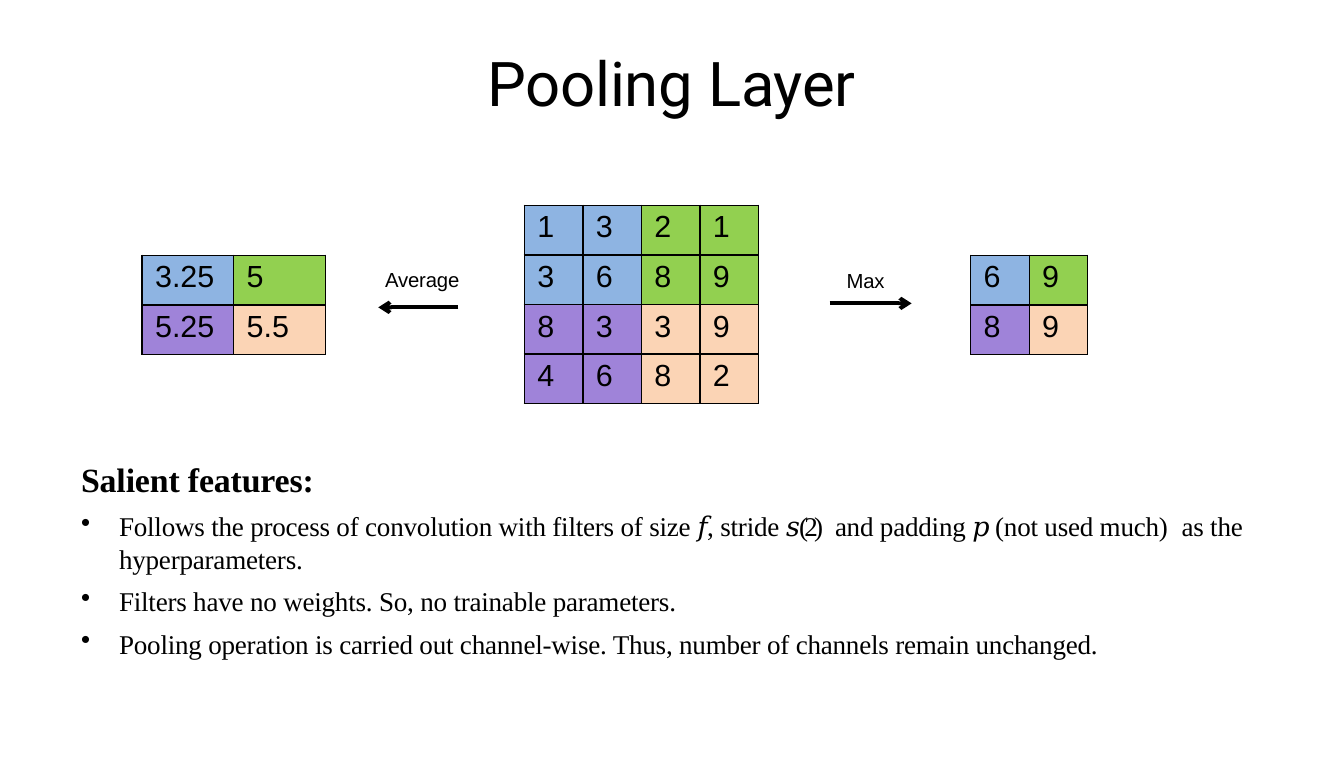
"""Build the pooling layer slide."""
from lxml import etree
from pptx import Presentation, util as u
from pptx.dml.color import RGBColor
from pptx.enum import shapes, text
from pptx.oxml import ns

BLACK = RGBColor(0, 0, 0)
BLUE = RGBColor(0x8E, 0xB4, 0xE2)
GREEN = RGBColor(0x92, 0xD0, 0x50)
PURPLE = RGBColor(0x9F, 0x83, 0xD9)
PEACH = RGBColor(0xFB, 0xD4, 0xB5)
QUADS = [[BLUE, GREEN], [PURPLE, PEACH]]
SERIF = "Times New Roman"
TIGHT = -0.1

TITLE = [("Pooling Layer", TIGHT)]
HEAD = [("Salient features:", TIGHT)]
POINTS = [
    [("Follows the process of convolution with filters of size ", TIGHT),
     ("𝑓, ", -0.2), ("stride ", TIGHT), ("𝑠 (2)", -2.2), (" ", 3),
     ("and padding ", TIGHT), ("𝑝 ", -0.8), ("(not used much)", TIGHT),
     (" ", 4), ("as the hyperparameters.", TIGHT)],
    [("Filters have no weights. So, no trainable parameters.", TIGHT)],
    [("Pooling operation is carried out channel-wise. "
      "Thus, number of channels remain unchanged.", TIGHT)],
]
GRIDS = [
    (142, 255, 183, 99, [["3.25", "5"], ["5.25", "5.5"]]),
    (524, 205, 234, 198, ["1321", "3689", "8339", "4682"]),
    (970, 255, 117, 99, ["69", "89"]),
]
ARROWS = [("Average", 384, 264, 458, 378, 307),
          ("Max", 845, 265, 829, 911, 303)]

SCALE = 7507


def px(n):
    return u.Emu(round(n * SCALE))


def add_box(slide, x, y, w, h, top=0):
    frame = slide.shapes.add_textbox(px(x), px(y), px(w), px(h)).text_frame
    frame.word_wrap = True
    frame.margin_left = frame.margin_right = frame.margin_bottom = 0
    frame.margin_top = px(top)
    return frame


def write(para, runs, size, face, bold=False):
    for words, gap in runs:
        run = para.add_run()
        run.text = words
        run.font._element.set("spc", str(round(gap * 100)))
    font = para.font
    font.size, font.name, font.bold = u.Pt(size), face, bold
    font.color.rgb = BLACK


def add_bullet(para):
    props = para._p.get_or_add_pPr()
    props.set("marL", str(px(38)))
    props.set("indent", str(px(-38)))
    etree.SubElement(props, ns.qn("a:buChar"), char="•")


def add_edges(cell):
    props = cell._tc.get_or_add_tcPr()
    for spot, side in enumerate("LRTB"):
        line = etree.Element(ns.qn(f"a:ln{side}"), w=str(u.Pt(1)))
        fill = etree.SubElement(line, ns.qn("a:solidFill"))
        etree.SubElement(fill, ns.qn("a:srgbClr"), val=str(BLACK))
        props.insert(spot, line)


def add_grid(slide, x, y, w, h, rows):
    size = len(rows)
    table = slide.shapes.add_table(
        size, size, px(x), px(y), px(w), px(h)).table
    table.first_row = table.horz_banding = False
    for r, row in enumerate(rows):
        table.rows[r].height = px(h / size)
        table.columns[r].width = px(w / size)
        for c, value in enumerate(row):
            cell = table.cell(r, c)
            cell.margin_left, cell.margin_top = px(13), px(5)
            cell.margin_right = cell.margin_bottom = 0
            cell.fill.solid()
            cell.fill.fore_color.rgb = QUADS[r * 2 // size][c * 2 // size]
            add_edges(cell)
            write(cell.text_frame.paragraphs[0], [(value, 0)], 18, "Arial")


def add_arrow(slide, start, end, y):
    arrow = slide.shapes.add_connector(
        shapes.MSO_CONNECTOR.STRAIGHT, px(start), px(y), px(end), px(y))
    arrow.line.color.rgb = BLACK
    arrow.line.width = u.Pt(2.25)
    etree.SubElement(arrow.line._get_or_add_ln(), ns.qn("a:tailEnd"),
                     type="arrow")
    etree.SubElement(arrow._element.spPr, ns.qn("a:effectLst"))


def main():
    deck = Presentation()
    deck.slide_width, deck.slide_height = px(1343), px(756)
    slide = deck.slides.add_slide(deck.slide_layouts[6])

    title = add_box(slide, 415, 43, 512, 77, 1)
    title.vertical_anchor = text.MSO_ANCHOR.MIDDLE
    title.paragraphs[0].alignment = text.PP_ALIGN.CENTER
    write(title.paragraphs[0], TITLE, 36.4, "Roboto")

    for grid in GRIDS:
        add_grid(slide, *grid)
    for label, x, y, start, end, level in ARROWS:
        name = add_box(slide, x + 1, y, 80, 28, 3)
        write(name.paragraphs[0], [(label, TIGHT)], 12, "Arial")
        add_arrow(slide, start, end, level)

    body = add_box(slide, 81, 438, 1169, 218, 20)
    write(body.paragraphs[0], HEAD, 20, SERIF, True)
    for point in POINTS:
        para = body.add_paragraph()
        para.space_before = u.Pt(6)
        add_bullet(para)
        write(para, point, 16, SERIF)
    deck.save("out.pptx")


if __name__ == "__main__":
    main()
